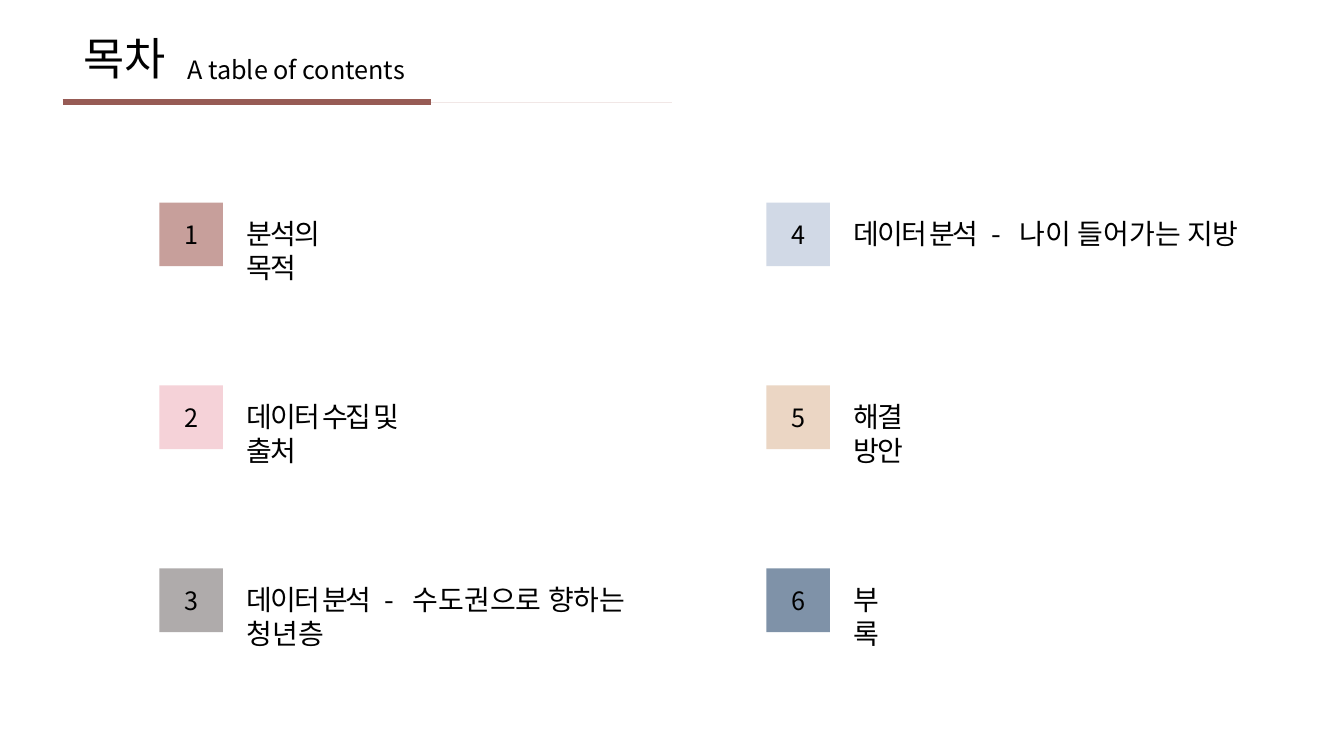
from dataclasses import dataclass

from lxml.etree import SubElement
from pptx import Presentation
from pptx.dml.color import RGBColor
from pptx.enum.shapes import MSO_CONNECTOR as Connector, MSO_SHAPE as Preset
from pptx.enum.text import MSO_ANCHOR as Anchor, PP_ALIGN as Align
from pptx.oxml.ns import qn
from pptx.util import Pt

FONT = "Noto Sans CJK KR"
BLACK = "000000"
ROWS = 3
LEFT, TOP = 113.8, 144.7
COLUMN_STEP, ROW_STEP = 433.6, 130.7
SQUARE = 45.4
LABEL_SHIFT_X, LABEL_SHIFT_Y = 55.4, 6.5
TIGHT, DASH_GAP, NORMAL = -1.5, 4.5, 0


@dataclass
class Span:
    text: str
    spacing: float = TIGHT


@dataclass
class Entry:
    fill: str
    width: float
    spans: list[Span]


@dataclass
class Rule:
    end: float
    color: str
    weight: float


ANALYSIS = [Span("데이터 분석"), Span(" - ", DASH_GAP)]
ENTRIES = [
    Entry("C79F9B", 100, [Span("분석의 목적")]),
    Entry("F5D2D8", 158, [Span("데이터 수집 및 출처")]),
    Entry("AFABAB", 333, ANALYSIS + [Span("수도권으로 향하는 청년층", NORMAL)]),
    Entry("D1D9E6", 366, ANALYSIS + [Span("나이 들어가는 지방", NORMAL)]),
    Entry("EBD6C4", 80, [Span("해결 방안")]),
    Entry("7F92A8", 45, [Span("부록")]),
]
RULES = [Rule(480.2, "F1E7E6", 0.5), Rule(308.2, "975B55", 4.5)]


def rgb(value: str) -> RGBColor:
    return RGBColor.from_string(value)


def write(box, spans: list[Span], size: float, align=Align.LEFT,
          anchor=Anchor.TOP, wrap: bool = True) -> None:
    frame = box.text_frame
    frame.word_wrap = wrap
    frame.vertical_anchor = anchor
    para = frame.paragraphs[0]
    para.alignment = align
    font = para.font
    font.size = Pt(size)
    font.name = FONT
    font.color.rgb = rgb(BLACK)
    SubElement(font._element, qn("a:ea"), typeface=FONT)
    for span in spans:
        run = para.add_run()
        run.text = span.text
        if span.spacing:
            run.font._element.set("spc", str(round(span.spacing * 100)))


def draw_rule(page, rule: Rule) -> None:
    line = page.shapes.add_connector(
        Connector.STRAIGHT, Pt(44.8), Pt(73), Pt(rule.end), Pt(73))
    line.line.color.rgb = rgb(rule.color)
    line.line.width = Pt(rule.weight)
    SubElement(line._element.spPr, qn("a:effectLst"))


def draw_entry(page, index: int, entry: Entry) -> None:
    column, row = divmod(index, ROWS)
    left = LEFT + column * COLUMN_STEP
    top = TOP + row * ROW_STEP
    square = page.shapes.add_shape(
        Preset.RECTANGLE, Pt(left), Pt(top), Pt(SQUARE), Pt(SQUARE))
    square.shadow.inherit = False
    square.fill.solid()
    square.fill.fore_color.rgb = rgb(entry.fill)
    square.line.fill.background()
    write(square, [Span(str(index + 1), NORMAL)], 18, Align.CENTER, Anchor.MIDDLE)
    label = page.shapes.add_textbox(
        Pt(left + LABEL_SHIFT_X), Pt(top + LABEL_SHIFT_Y), Pt(entry.width), Pt(31.5))
    write(label, entry.spans, 20)


def draw_heading(page) -> None:
    title = page.shapes.title
    title.left, title.top = Pt(52.6), Pt(18)
    title.width, title.height = Pt(73.4), Pt(46)
    write(title, [Span("목차", NORMAL)], 32, wrap=False)
    subtitle = page.shapes.add_textbox(Pt(126.7), Pt(35.3), Pt(176.4), Pt(29))
    write(subtitle, [Span("A table of contents", NORMAL)], 18, wrap=False)


def main() -> None:
    deck = Presentation()
    deck.slide_width, deck.slide_height = Pt(960), Pt(540)
    page = deck.slides.add_slide(deck.slide_layouts.get_by_name("Title Only"))
    draw_heading(page)
    for rule in RULES:
        draw_rule(page, rule)
    for index, entry in enumerate(ENTRIES):
        draw_entry(page, index, entry)
    deck.save("out.pptx")


if __name__ == "__main__":
    main()
